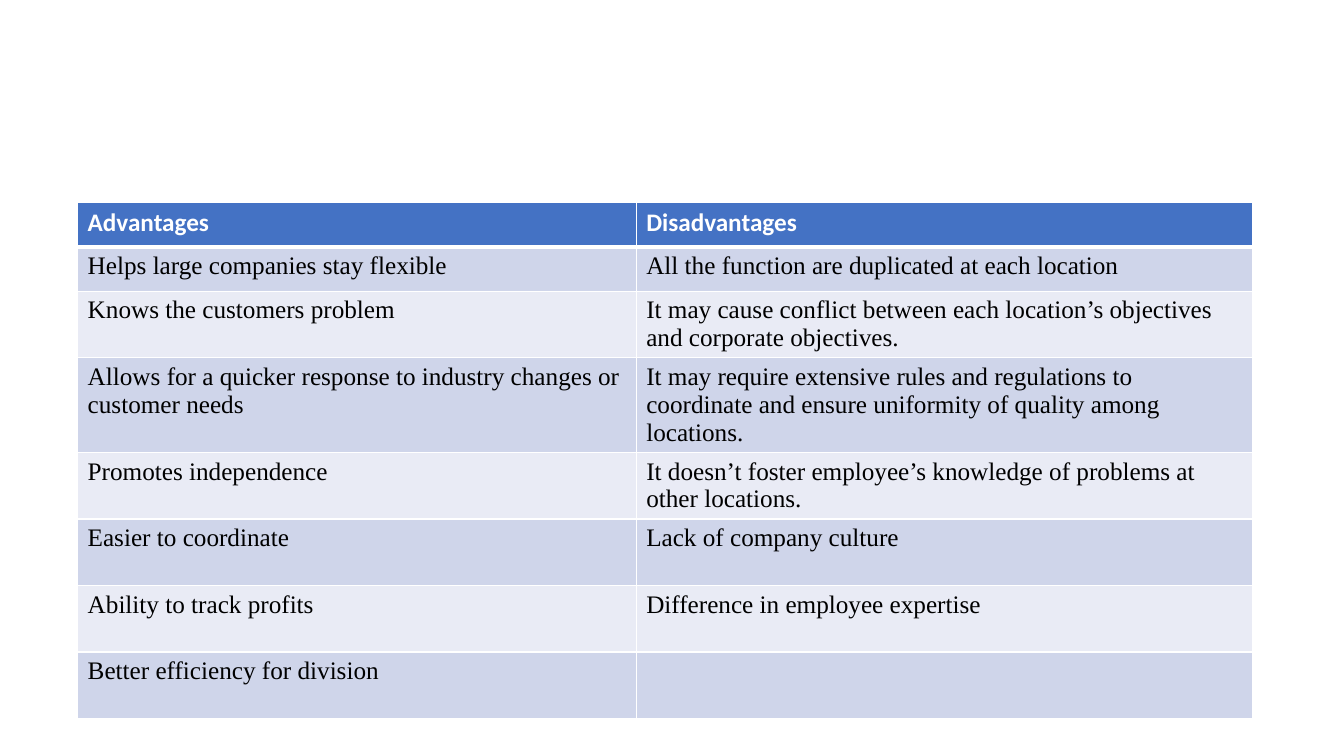
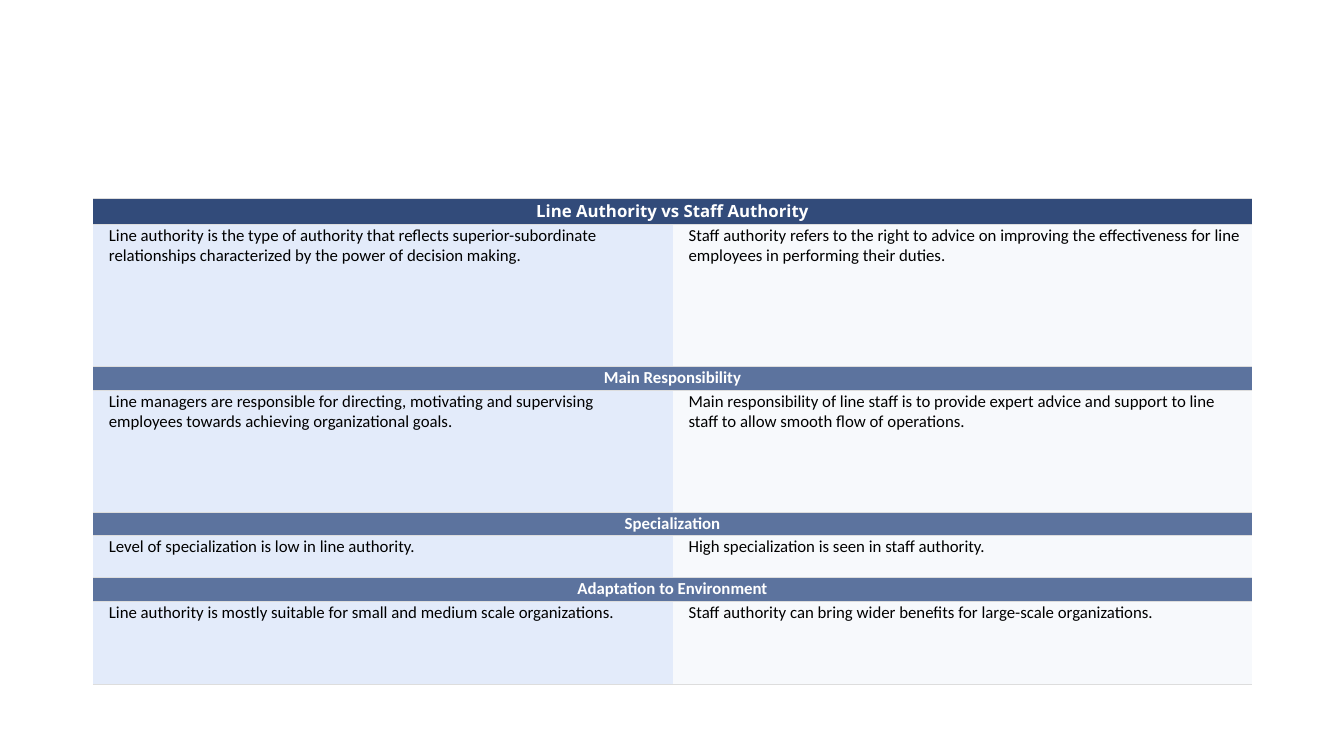
from lxml import etree
from pptx import Presentation
from pptx import util as u
from pptx.dml.color import RGBColor
from pptx.enum import text
from pptx.oxml.ns import qn

WHITE = RGBColor(0xFF, 0xFF, 0xFF)
BLACK = RGBColor(0x00, 0x00, 0x00)
BLUE = RGBColor(0x44, 0x72, 0xC4)
BANDS = (RGBColor(0xCF, 0xD5, 0xEA), RGBColor(0xE9, 0xEB, 0xF5))
NAVY = RGBColor(0x32, 0x4B, 0x7A)
SLATE = RGBColor(0x5C, 0x73, 0x9E)
COLUMN_FILLS = (RGBColor(0xE3, 0xEB, 0xFA), RGBColor(0xF7, 0xF9, 0xFC))
RULE = RGBColor(0xDD, 0xDD, 0xDD)

BODY_FONT = {"name": "Times New Roman", "size": u.Pt(18), "bold": False}
HEADER_FONT = {"name": "Calibri", "size": u.Pt(18), "bold": True}
SMALL_FONT = {"name": "Calibri", "size": u.Pt(12), "bold": False}
SECTION_FONT = {**SMALL_FONT, "bold": True}
BANNER_FONT = {**SECTION_FONT, "name": "Open Sans"}

TIGHT = {"margin_top": u.Inches(0.01), "margin_right": u.Inches(0.11),
         "margin_bottom": u.Inches(0.02)}
DETAIL_CELL = {**TIGHT, "margin_left": u.Inches(0.16)}
SECTION_CELL = {**TIGHT, "margin_left": u.Inches(0.11),
                "vertical_anchor": text.MSO_ANCHOR.MIDDLE}

PROS_AND_CONS = [
    ("Advantages", "Disadvantages"),
    ("Helps large companies stay flexible",
     "All the function are duplicated at each location"),
    ("Knows the customers problem",
     "It may cause conflict between each location’s objectives and corporate objectives."),
    ("Allows for a quicker response to industry changes or customer needs",
     "It may require extensive rules and regulations to coordinate and ensure "
     "uniformity of quality among locations."),
    ("Promotes independence",
     "It doesn’t foster employee’s knowledge of problems at other locations."),
    ("Easier to coordinate", "Lack of company culture"),
    ("Ability to track profits", "Difference in employee expertise"),
    ("Better efficiency for division", ""),
]
PROS_AND_CONS_HEIGHTS = (0.44, 0.44, 0.66, 0.94, 0.66, 0.66, 0.66, 0.66)

SECTION_HEIGHT = 0.22
AUTHORITY_SECTIONS = [
    ("Line Authority vs Staff Authority", 1.41,
     ("Line authority is the type of authority that reflects superior-subordinate "
      "relationships characterized by the power of decision making.",
      "Staff authority refers to the right to advice on improving the effectiveness "
      "for line employees in performing their duties.")),
    ("Main Responsibility", 1.21,
     ("Line managers are responsible for directing, motivating and supervising "
      "employees towards achieving organizational goals.",
      "Main responsibility of line staff is to provide expert advice and support "
      "to line staff to allow smooth flow of operations.")),
    ("Specialization", 0.42,
     ("Level of specialization is low in line authority.",
      "High specialization is seen in staff authority.")),
    ("Adaptation to Environment", 0.82,
     ("Line authority is mostly suitable for small and medium scale organizations.",
      "Staff authority can bring wider benefits for large-scale organizations.")),
]


def set_format(target, values):
    """Set every attribute named in a dict of format values."""
    for name, value in values.items():
        setattr(target, name, value)


def set_borders(cell, color, left=0, right=0, top=0, bottom=0):
    """Draw the cell borders with widths in points, where zero means none."""
    properties = cell._tc.get_or_add_tcPr()
    widths = {"a:lnL": left, "a:lnR": right, "a:lnT": top, "a:lnB": bottom}
    for index, (tag, width) in enumerate(widths.items()):
        line = etree.Element(qn(tag), w=str(int(u.Pt(width))))
        if width:
            fill = etree.SubElement(line, qn("a:solidFill"))
            etree.SubElement(fill, qn("a:srgbClr"), val=str(color))
        else:
            etree.SubElement(line, qn("a:noFill"))
        properties.insert(index, line)


def fill_cell(cell, words, fill, font, color, align=None, layout=None):
    """Write the words in a cell and give it a fill and text format."""
    set_format(cell, layout or {})
    cell.fill.solid()
    cell.fill.fore_color.rgb = fill
    paragraph = cell.text_frame.paragraphs[0]
    paragraph.alignment = align
    set_format(paragraph.font, font)
    if words:
        run = paragraph.add_run()
        run.text = words
        set_format(run.font, font)
        run.font.color.rgb = color


def add_grid(presentation, left, top, widths, heights):
    """Add a blank slide that holds an unstyled table and return the table."""
    slide = presentation.slides.add_slide(presentation.slide_layouts[6])
    frame = slide.shapes.add_table(
        len(heights), len(widths), u.Inches(left), u.Inches(top),
        u.Inches(sum(widths)), u.Inches(sum(heights)))
    table = frame.table
    set_format(table, {"first_row": False, "horz_banding": False})
    for column, width in zip(table.columns, widths):
        column.width = u.Inches(width)
    for row, height in zip(table.rows, heights):
        row.height = u.Inches(height)
    return table


def add_pros_and_cons(presentation):
    """Build the slide of advantages and disadvantages."""
    table = add_grid(presentation, 0.77, 2.01, (5.54, 6.11), PROS_AND_CONS_HEIGHTS)
    for row, entries in enumerate(PROS_AND_CONS):
        for column, words in enumerate(entries):
            cell = table.cell(row, column)
            if row == 0:
                fill_cell(cell, words, BLUE, HEADER_FONT, WHITE)
            else:
                fill_cell(cell, words, BANDS[(row - 1) % 2], BODY_FONT, BLACK)
            set_borders(cell, WHITE, left=1, right=1,
                        top=3 if row == 1 else 1, bottom=3 if row == 0 else 1)


def add_authority_comparison(presentation):
    """Build the slide that compares line and staff authority."""
    heights = [height for _, detail_height, _ in AUTHORITY_SECTIONS
               for height in (SECTION_HEIGHT, detail_height)]
    table = add_grid(presentation, 0.92, 1.97, (5.75, 5.75), heights)
    for index, (heading, _, details) in enumerate(AUTHORITY_SECTIONS):
        row = 2 * index
        fill, font = (SLATE, SECTION_FONT) if index else (NAVY, BANNER_FONT)
        for column, words in enumerate((heading, "")):
            fill_cell(table.cell(row, column), words, fill, font, WHITE,
                      text.PP_ALIGN.CENTER, SECTION_CELL)
        table.cell(row, 0).merge(table.cell(row, 1))
        for column, words in enumerate(details):
            fill_cell(table.cell(row + 1, column), words, COLUMN_FILLS[column],
                      SMALL_FONT, BLACK, layout=DETAIL_CELL)
    for cell in table.iter_cells():
        set_borders(cell, RULE, top=0.6, bottom=0.6)


def main():
    """Build the presentation and save it."""
    presentation = Presentation()
    set_format(presentation, {"slide_width": u.Inches(13.33),
                              "slide_height": u.Inches(7.5)})
    add_pros_and_cons(presentation)
    add_authority_comparison(presentation)
    presentation.save("out.pptx")


if __name__ == "__main__":
    main()
